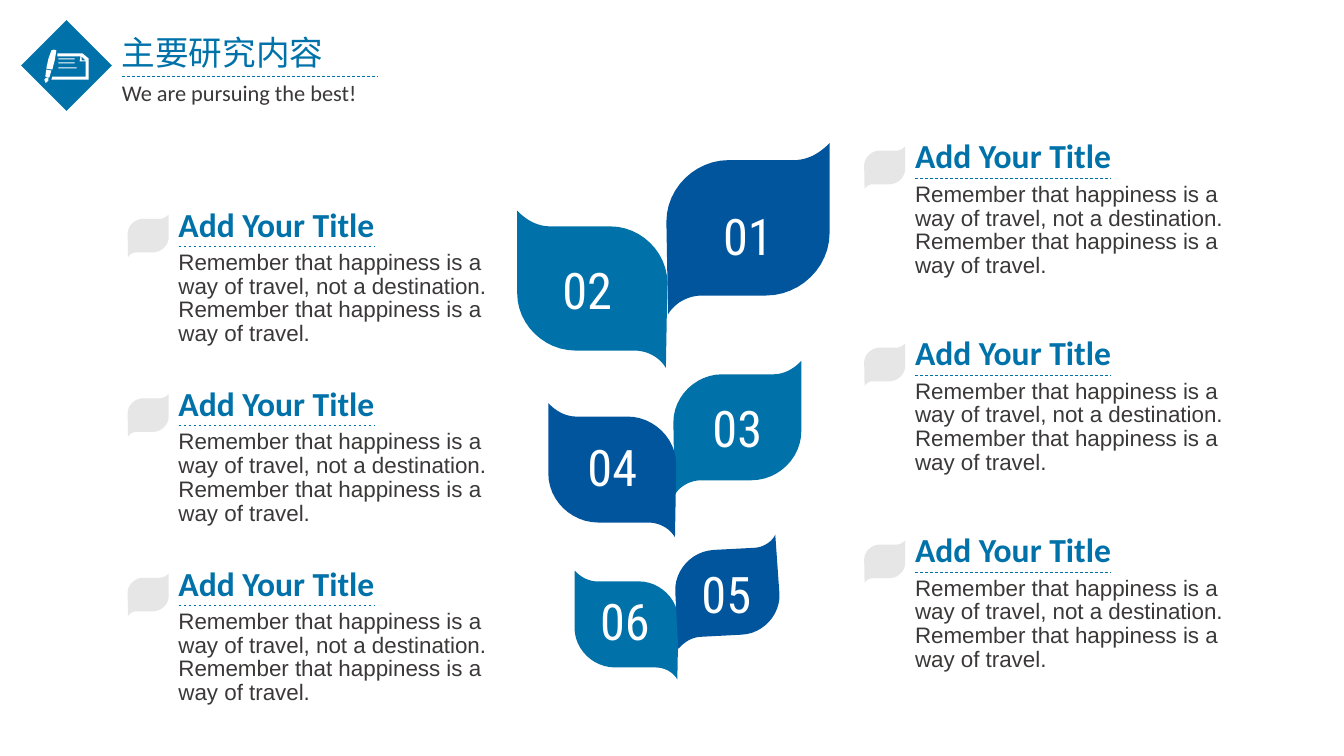
from lxml import etree
from pptx import Presentation
from pptx.dml.color import RGBColor
from pptx.enum.dml import MSO_LINE
from pptx.enum.shapes import MSO_CONNECTOR, MSO_SHAPE
from pptx.enum.text import MSO_AUTO_SIZE, PP_ALIGN
from pptx.oxml.ns import qn
from pptx.util import Pt

DASH = MSO_LINE.DASH
STRAIGHT = MSO_CONNECTOR.STRAIGHT
DIAMOND = MSO_SHAPE.DIAMOND
FIT_SHAPE = MSO_AUTO_SIZE.SHAPE_TO_FIT_TEXT
LEFT, CENTER = PP_ALIGN.LEFT, PP_ALIGN.CENTER

BLUE = RGBColor(0x00, 0x72, 0xA9)
NAVY = RGBColor(0x01, 0x55, 0x9D)
GRAY = RGBColor(0xE6, 0xE6, 0xE6)
DARK = RGBColor(0x3B, 0x38, 0x38)
WHITE = RGBColor(0xFF, 0xFF, 0xFF)

CARD_TITLE = "Add Your Title"
CARD_BODY = ("Remember that happiness is a way of travel, not a destination. "
             "Remember that happiness is a way of travel.")

LEAF_CURVES = [
    [(1, 0), (0.94, 0.06), (0.865, 0.1), (0.78, 0.1)],
    [(0.38, 0.1), (0.18, 0.1), (0, 0.26), (0, 0.46)],
    [(0.01, 1), (0.05, 0.935), (0.13, 0.89), (0.22, 0.89)],
    [(0.61, 0.89), (0.82, 0.89), (1, 0.725), (1, 0.524)],
]
CURVE_STEPS = 12

PEN = [
    [(36.7, 36), (38.5, 35.4), (40.3, 36), (39.2, 42.8), (37.4, 49.7), (33.1, 49), (34.5, 42.5)],
    [(33.1, 49.7), (36.7, 50.4), (35.3, 55.4), (32.4, 54.7)],
    [(33.1, 55.4), (34.6, 55.4), (34.6, 57.6), (33.1, 59), (32.4, 59), (31.7, 56.9)],
]
PAPER = [
    [(37.4, 54.7), (36.7, 56.9), (63.4, 56.9), (63.4, 41.8), (59, 38.2), (41, 38.2),
     (41, 40.3), (57.6, 40.3), (56.9, 43.9), (61.2, 43.9), (61.2, 54.7)],
    [(61.2, 43.2), (58.3, 43.2), (58.3, 40.3)],
]
WRITING = [
    [(41.8, top), (right, top), (right, top + 0.7), (41.8, top + 0.7)]
    for top, right in ((41.8, 53.3), (44.6, 53.3), (48.2, 54.7))
]

LEAVES = [
    ("02", (369.4, 150.5, 107.3, 112.3), BLUE, True, 0, (419.4, 181.4)),
    ("03", (481, 257.8, 91.4, 95.8), BLUE, False, 0, (526.7, 280.1)),
    ("04", (391.7, 288, 91.4, 95.8), NAVY, True, 0, (437.4, 308.2)),
    ("06", (410.4, 407.5, 74.2, 77.8), BLUE, True, 0, (446.4, 418.3)),
    ("05", (482.4, 383.8, 74.2, 77.8), NAVY, False, 177, (518.8, 398.9)),
    ("01", (476, 102.2, 116.6, 122.4), NAVY, False, 0, (534.2, 143.3)),
]
CARD_COLUMNS = [(91.2, 141.8, 128.2), (617.3, 93.1, 140.7)]


def bezier(start, first, second, end):
    """Return evenly stepped points along a cubic curve."""
    points = []
    for step in range(CURVE_STEPS + 1):
        t = step / CURVE_STEPS
        weights = ((1 - t) ** 3, 3 * t * (1 - t) ** 2, 3 * t * t * (1 - t), t ** 3)
        points.append(tuple(
            sum(weight * value for weight, value in zip(weights, axis))
            for axis in zip(start, first, second, end)))
    return points


class Painter:
    """Draws styled elements on one page, with lengths in points."""

    def __init__(self, page):
        self.shapes = page.shapes

    def paint(self, shape, color):
        shape.shadow.inherit = False
        shape.fill.solid()
        shape.fill.fore_color.rgb = color
        shape.line.fill.background()

    def diamond(self, left, top, size, color):
        shape = self.shapes.add_shape(DIAMOND, Pt(left), Pt(top), Pt(size), Pt(size))
        self.paint(shape, color)

    def outline(self, contours, color):
        contours = [[(Pt(x), Pt(y)) for x, y in contour] for contour in contours]
        builder = self.shapes.build_freeform(*contours[0][0])
        builder.add_line_segments(contours[0][1:])
        for contour in contours[1:]:
            builder.move_to(*contour[0])
            builder.add_line_segments(contour[1:])
        shape = builder.convert_to_shape()
        self.paint(shape, color)
        return shape

    def leaf(self, frame, color, mirrored=False, rotation=0):
        left, top, width, height = frame
        points = [point for curve in LEAF_CURVES for point in bezier(*curve)]
        contour = [(left + width * (1 - x if mirrored else x), top + height * y)
                   for x, y in points]
        self.outline([contour], color).rotation = rotation

    def rule(self, left, top, width):
        line = self.shapes.add_connector(
            STRAIGHT, Pt(left), Pt(top), Pt(left + width), Pt(top))
        line.line.color.rgb = BLUE
        line.line.width = Pt(0.5)
        line.line.dash_style = DASH
        etree.SubElement(line._element.spPr, qn("a:effectLst"))

    def text(self, frame, words, size, font, color, bold=False, align=LEFT, spacing=None):
        box = self.shapes.add_textbox(*(Pt(length) for length in frame))
        box.text_frame.word_wrap = True
        box.text_frame.auto_size = FIT_SHAPE
        para = box.text_frame.paragraphs[0]
        para.alignment = align
        if spacing:
            para.line_spacing = Pt(spacing)
        span = para.add_run()
        span.text = words
        span.font.size = Pt(size)
        span.font.bold = bold
        span.font.color.rgb = color
        span.font.name = font
        etree.SubElement(span._r.get_or_add_rPr(), qn("a:ea"), typeface=font)

    def header(self):
        self.diamond(15.1, 14.4, 64.8, BLUE)
        self.text((79.9, 19.4, 241.2, 36.7), "主要研究内容", 24, "Noto Sans CJK SC", BLUE)
        self.rule(87.1, 54.2, 182.2)
        self.text((79.9, 53.3, 242.6, 26.6), "We are pursuing the best!", 16, "Calibri", DARK)
        self.outline(PEN + PAPER + WRITING, WHITE)

    def card(self, left, top):
        self.leaf((left, top + 11.5, 29.3, 30.4), GRAY)
        self.text((left + 29.2, top, 190.8, 36.7), CARD_TITLE, 24, "Calibri", BLUE, bold=True)
        self.text((left + 29.2, top + 34, 246.2, 76.3), CARD_BODY, 16, "Arial", DARK, spacing=17)
        self.rule(left + 36.4, top + 34, 140.2)

    def numbered_leaf(self, number, frame, color, mirrored, rotation, label):
        self.leaf(frame, color, mirrored, rotation)
        center, top = label
        self.text((center - 28.5, top, 57, 51), number, 36, "Roboto Condensed", WHITE, align=CENTER)


def main():
    """Build the slide and save it."""
    deck = Presentation()
    deck.slide_width, deck.slide_height = Pt(960), Pt(540)
    painter = Painter(deck.slides.add_slide(deck.slide_layouts[6]))
    painter.header()
    for left, first_top, step in CARD_COLUMNS:
        for row in range(3):
            painter.card(left, first_top + row * step)
    for leaf in LEAVES:
        painter.numbered_leaf(*leaf)
    deck.save("out.pptx")


if __name__ == "__main__":
    main()
